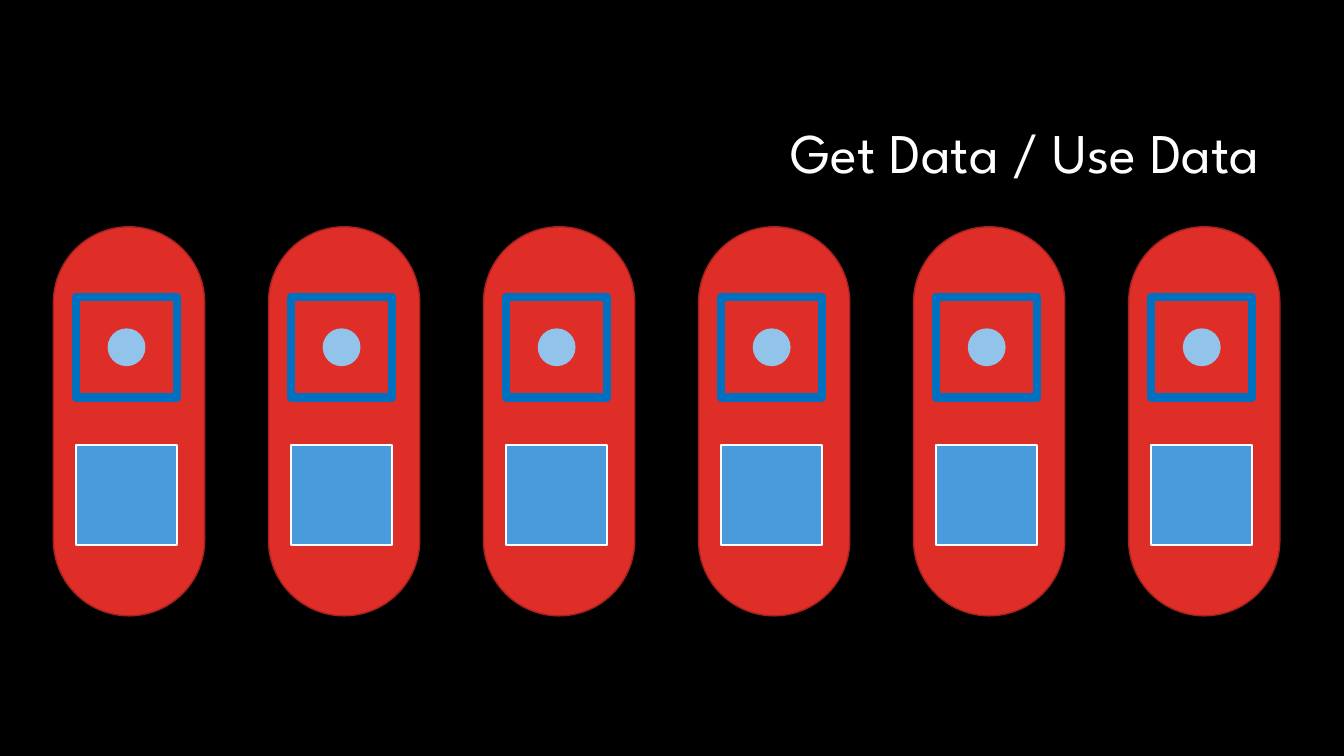
from pptx import Presentation
from pptx.dml.color import RGBColor
from pptx.enum import shapes, text
from pptx.util import Inches, Pt

WIDE, HIGH = 13.33, 7.5
COUNT = 6
PITCH = 0.16 * WIDE
KIND = shapes.MSO_SHAPE


def paint(fill, color):
    """Set a solid fill from a hex string."""
    fill.solid()
    fill.fore_color.rgb = RGBColor.from_string(color)


def place(shape, box):
    """Move a shape to a box given in inches."""
    shape.left, shape.top, shape.width, shape.height = map(Inches, box)


def write(frame, words, font, size, color, align):
    """Fill a text frame with one formatted line."""
    frame.word_wrap = True
    frame.auto_size = text.MSO_AUTO_SIZE.NONE
    frame.vertical_anchor = text.MSO_ANCHOR.MIDDLE
    line = frame.paragraphs[0]
    line.alignment = align
    line.line_spacing = 0.9
    run = line.add_run()
    run.text = words
    run.font.name = font
    run.font.size = Pt(size)
    run.font.color.rgb = RGBColor.from_string(color)


def draw(slide, kind, box, fill=None, edge=None, width=1):
    """Add a preset shape with an optional fill and outline."""
    shape = slide.shapes.add_shape(kind, *map(Inches, box))
    shape.shadow.inherit = False
    if fill:
        paint(shape.fill, fill)
    else:
        shape.fill.background()
    if edge:
        paint(shape.line.fill, edge)
        shape.line.width = Pt(width)
    else:
        shape.line.fill.background()
    return shape


def head(slide, box):
    """Place the slide title."""
    title = slide.shapes.title
    place(title, box)
    write(title.text_frame, "Get Data / Use Data", font="League Spartan",
          size=40, color="FFFFFF", align=text.PP_ALIGN.RIGHT)


def pill(slide, box):
    """Draw a capsule holding a dot, a frame and a block."""
    left, top, wide, high = box
    side, dot = wide * 2 / 3, wide / 4
    inner = left + 0.15 * wide
    upper, lower = top + 0.18 * high, top + 0.56 * high
    gap = (side - dot) / 2
    body = draw(slide, KIND.ROUNDED_RECTANGLE, box, "DF2E28", "A5221E")
    body.adjustments[0] = 0.5
    draw(slide, KIND.OVAL, (inner + gap, upper + gap, dot, dot), "92C3EA")
    draw(slide, KIND.RECTANGLE, (inner, upper, side, side),
         edge="0070C0", width=6)
    draw(slide, KIND.RECTANGLE, (inner, lower, side, side),
         "4A9BDC", "FFFFFF", 1.5)


def row(slide, box):
    """Repeat the capsule at an even pitch across a box."""
    left, top, wide, high = box
    pitch = wide / COUNT
    for step in range(COUNT):
        pill(slide, (left + step * pitch, top, 1.5, high))


def main():
    """Build and save the slide."""
    deck = Presentation()
    deck.slide_width, deck.slide_height = Inches(WIDE), Inches(HIGH)
    slide = deck.slides.add_slide(deck.slide_layouts.get_by_name("Title Only"))
    paint(slide.background.fill, "000000")
    head(slide, (3.17, 0.84, 9.42, 1.41))
    row(slide, (0.53, 0.3 * HIGH, COUNT * PITCH, 3.86))
    deck.save("out.pptx")


if __name__ == "__main__":
    main()
